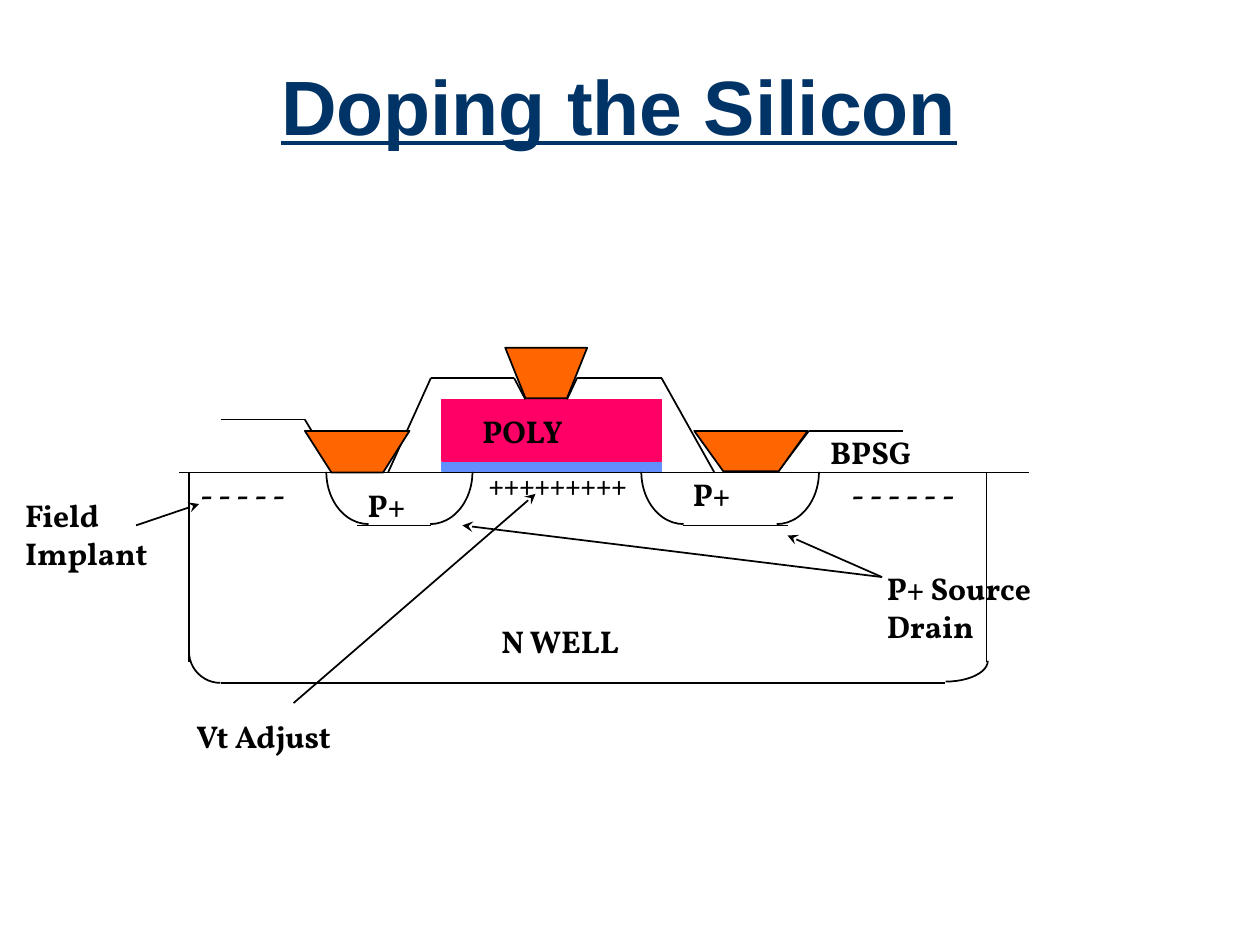
import pptx
import pptx.util
import pptx.dml.color
import pptx.enum.shapes
import pptx.enum.text
import pptx.oxml
import pptx.oxml.ns
from lxml import etree

Inches = pptx.util.Inches
Pt = pptx.util.Pt
RGBColor = pptx.dml.color.RGBColor
MSO_SHAPE = pptx.enum.shapes.MSO_SHAPE

BLACK = RGBColor(0x00, 0x00, 0x00)
NAVY = RGBColor(0x00, 0x33, 0x66)
OXIDE_BLUE = RGBColor(0x61, 0x8F, 0xFD)
POLY_PINK = RGBColor(0xFF, 0x00, 0x66)
METAL_ORANGE = RGBColor(0xFF, 0x66, 0x00)

TITLE_FONT = {"name": "Arial", "size": Pt(44), "bold": True, "underline": True}
LABEL_FONT = {"name": "Vollkorn", "bold": True}

BOTTOM_RIGHT = (0, 54)
BOTTOM_LEFT = (54, 108)

SURFACE = 3.75
JUNCTION = 4.17
WELL_BOTTOM = 5.42

GATE_LAYERS = [
    ((3.51, 3.67, 1.74, 0.07), OXIDE_BLUE),
    ((3.51, 3.17, 1.74, 0.49), POLY_PINK),
]
JUNCTION_ARCS = [
    (2.59, BOTTOM_LEFT),
    (3.08, BOTTOM_RIGHT),
    (5.09, BOTTOM_LEFT),
    (5.83, BOTTOM_RIGHT),
]
WELL_ARCS = [
    ((1.5, 4.92, 0.5, 0.5), BOTTOM_LEFT),
    ((7.17, 5.08, 0.67, 0.33), BOTTOM_RIGHT),
]
OUTLINES = [
    [(1.42, SURFACE), (8.17, SURFACE)],
    [(2.83, JUNCTION), (3.42, JUNCTION)],
    [(5.42, JUNCTION), (6.25, JUNCTION)],
    [(3.08, SURFACE), (3.42, 3), (4.08, 3), (4.17, 3.17)],
    [(4.5, 3.17), (4.58, 3), (5.25, 3), (5.67, SURFACE)],
    [(1.75, 3.33), (2.42, 3.33), (2.67, SURFACE)],
    [(6.17, SURFACE), (6.42, 3.42), (7.17, 3.42)],
    [(1.5, SURFACE), (1.5, 5.25)],
    [(7.83, SURFACE), (7.83, 5.25)],
    [(1.75, WELL_BOTTOM), (7.5, WELL_BOTTOM)],
]
CONTACTS = [
    ((4.01, 2.76, 0.65, 0.4), 0.16),
    ((2.42, 3.42, 0.83, 0.33), 0.21),
    ((5.51, 3.42, 0.9, 0.32), 0.23),
]
POINTERS = [
    ((2.33, 5.58), (4.25, 3.92)),
    ((7, 4.58), (6.25, 4.25)),
    ((7, 4.58), (3.67, 4.17)),
    ((1.08, 4.17), (1.58, 4)),
]
LABELS = [
    (["P+"], (2.82, 3.81, 0.5, 0.4), 18),
    (["P+"], (5.4, 3.72, 0.5, 0.4), 18),
    (["POLY"], (3.73, 3.22, 0.9, 0.4), 18),
    (["+++++++++"], (3.78, 3.66, 1.32, 0.37), 16),
    (["N WELL"], (3.88, 4.89, 1.22, 0.4), 18),
    (["Vt Adjust"], (1.46, 5.64, 1.37, 0.4), 18),
    (["P+ Source", "Drain"], (6.94, 4.47, 1.44, 0.7), 18),
    (["BPSG"], (6.49, 3.39, 0.87, 0.4), 18),
    (["- - - - -"], (1.49, 3.72, 0.91, 0.4), 18),
    (["- - - - - -"], (6.66, 3.72, 1.06, 0.4), 18),
    (["Field", "Implant"], (0.1, 3.89, 1.22, 0.7), 18),
]


def apply_format(target, values):
    for name, value in values.items():
        setattr(target, name, value)


def set_title(slide, text):
    title = slide.shapes.title
    apply_format(title, {
        "left": Inches(0.25), "top": Inches(0.25),
        "width": Inches(9.33), "height": Inches(1.25),
    })
    title.text_frame.text = text
    title.text_frame.vertical_anchor = pptx.enum.text.MSO_ANCHOR.MIDDLE
    paragraph = title.text_frame.paragraphs[0]
    apply_format(paragraph, {
        "alignment": pptx.enum.text.PP_ALIGN.CENTER, "line_spacing": 0.9,
    })
    font = paragraph.runs[0].font
    apply_format(font, TITLE_FONT)
    font.color.rgb = NAVY


def add_outlined_shape(slide, kind, box, fill=None, line=BLACK):
    shape = slide.shapes.add_shape(kind, *map(Inches, box))
    shape.shadow.inherit = False
    if fill is None:
        shape.fill.background()
    else:
        shape.fill.solid()
        shape.fill.fore_color.rgb = fill
    shape.line.color.rgb = line
    shape.line.width = Pt(1)
    return shape


def add_arc(slide, box, angles):
    arc = add_outlined_shape(slide, MSO_SHAPE.ARC, box)
    for index, angle in enumerate(angles):
        arc.adjustments[index] = angle


def add_contact(slide, box, inset):
    contact = add_outlined_shape(slide, MSO_SHAPE.TRAPEZOID, box, METAL_ORANGE)
    contact.adjustments[0] = inset / min(box[2:])
    contact.rotation = 180


def add_line(slide, start, end, arrow=False):
    connector = slide.shapes.add_connector(
        pptx.enum.shapes.MSO_CONNECTOR.STRAIGHT, *map(Inches, start + end))
    connector.line.color.rgb = BLACK
    connector.line.width = Pt(1)
    qn = pptx.oxml.ns.qn
    if arrow:
        outline = connector.line._get_or_add_ln()
        etree.SubElement(outline, qn("a:tailEnd"), type="stealth")
    etree.SubElement(connector._element.spPr, qn("a:effectLst"))


def add_label(slide, lines, box, size):
    text_frame = slide.shapes.add_textbox(*map(Inches, box)).text_frame
    apply_format(text_frame, {
        "word_wrap": False,
        "auto_size": pptx.enum.text.MSO_AUTO_SIZE.SHAPE_TO_FIT_TEXT,
    })
    text_frame.text = "\n".join(lines)
    for paragraph in text_frame.paragraphs:
        font = paragraph.runs[0].font
        apply_format(font, LABEL_FONT)
        font.size = Pt(size)
        font.color.rgb = BLACK


def main():
    presentation = pptx.Presentation()
    presentation.slide_width = Inches(10)
    presentation.slide_height = Inches(7.5)
    slide = presentation.slides.add_slide(presentation.slide_layouts[5])
    set_title(slide, "Doping the Silicon")
    for box, color in GATE_LAYERS:
        add_outlined_shape(slide, MSO_SHAPE.RECTANGLE, box, color, color)
    for left, angles in JUNCTION_ARCS:
        add_arc(slide, (left, 3.33, 0.67, 0.83), angles)
    for box, angles in WELL_ARCS:
        add_arc(slide, box, angles)
    for points in OUTLINES:
        for start, end in zip(points, points[1:]):
            add_line(slide, start, end)
    for box, inset in CONTACTS:
        add_contact(slide, box, inset)
    for start, end in POINTERS:
        add_line(slide, start, end, arrow=True)
    for lines, box, size in LABELS:
        add_label(slide, lines, box, size)
    presentation.save("out.pptx")


if __name__ == "__main__":
    main()
